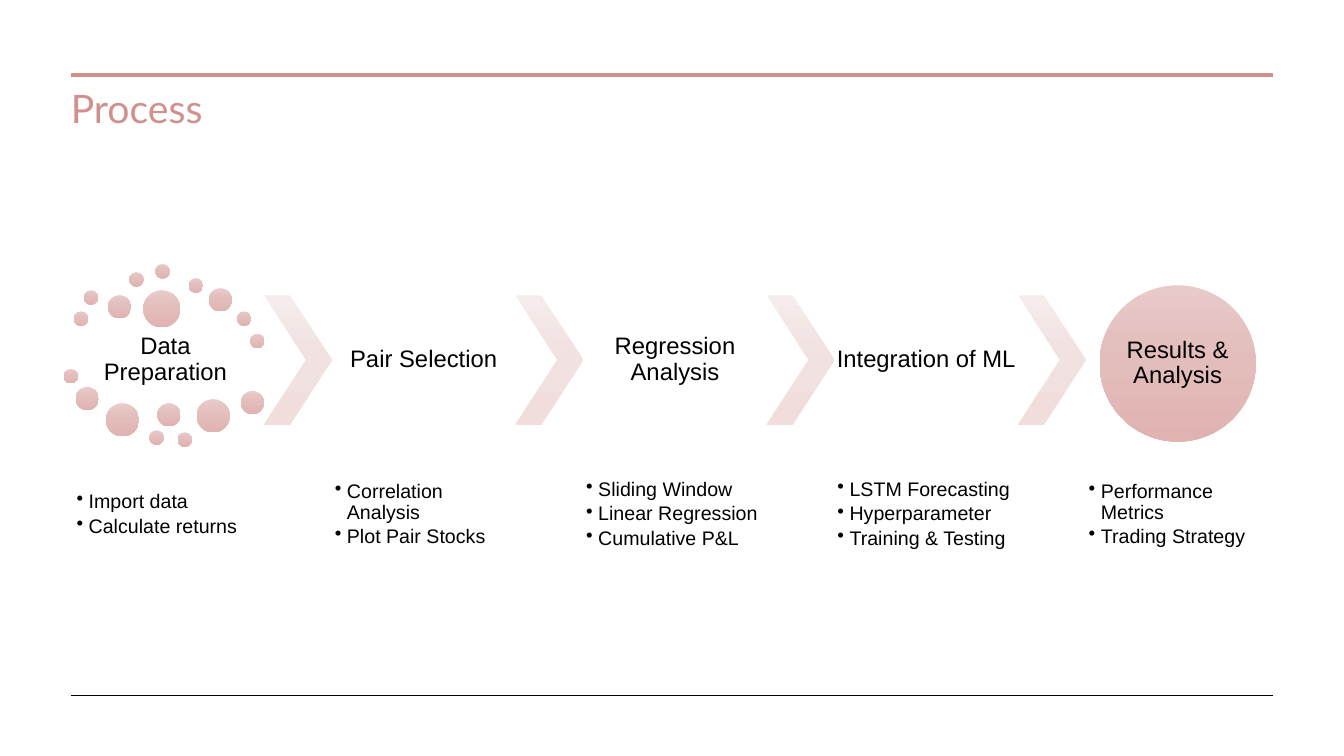
import copy
from dataclasses import dataclass

import pptx
import pptx.dml.color
import pptx.enum.shapes
import pptx.enum.text
import pptx.oxml.ns
import pptx.util
from lxml import etree

Pt = pptx.util.Pt
RGB = pptx.dml.color.RGBColor.from_string
SHAPE = pptx.enum.shapes.MSO_SHAPE
ALIGN = pptx.enum.text.PP_ALIGN
qn = pptx.oxml.ns.qn


@dataclass(frozen=True)
class Theme:
    """Colours, fonts and type sizes of the slide."""
    accent: str = "D0908C"
    ink: str = "000000"
    rose: tuple = ("E8CAC8", "E2BDBB", "E0B3B0")
    pale_rose: tuple = ("F6ECEC", "F1E1E0", "F0DDDC")
    title_font: str = "Lato"
    body_font: str = "Arial"
    title_size: float = 28
    heading_size: float = 17
    bullet_size: float = 14


THEME = Theme()
SMALL, MEDIUM, LARGE, HUGE = 10.4, 16.6, 23.8, 26.6
DOTS = [
    (7.2, 33.8, SMALL), (14.4, 18.7, SMALL), (31.7, 22.3, MEDIUM),
    (46.8, 5.8, SMALL), (65.5, 0, SMALL), (89.3, 10.1, SMALL),
    (103.7, 17.3, MEDIUM), (123.8, 33.8, SMALL), (133.2, 49.7, SMALL),
    (56.9, 18.7, HUGE), (0, 74.9, SMALL), (8.6, 87.8, MEDIUM),
    (30.2, 99.4, LARGE), (61.2, 118.8, SMALL), (67, 99.4, MEDIUM),
    (81.4, 120.2, SMALL), (95, 96.5, LARGE), (126.7, 90.7, MEDIUM),
]
STEPS = [
    ("Data Preparation", ["Import data", "Calculate returns"]),
    ("Pair Selection", ["Correlation Analysis", "Plot Pair Stocks"]),
    ("Regression Analysis",
     ["Sliding Window", "Linear Regression", "Cumulative P&L"]),
    ("Integration of ML",
     ["LSTM Forecasting", "Hyperparameter", "Training & Testing"]),
    ("Results & Analysis", ["Performance Metrics", "Trading Strategy"]),
]


def add_rule(slide, left, top, width, color, weight):
    """Draw a horizontal rule."""
    rule = slide.shapes.add_connector(
        pptx.enum.shapes.MSO_CONNECTOR.STRAIGHT,
        Pt(left), Pt(top), Pt(left + width), Pt(top))
    rule.line.color.rgb = RGB(color)
    rule.line.width = Pt(weight)
    etree.SubElement(rule._element.spPr, qn("a:effectLst"))


def add_gradient_shape(slide, kind, left, top, width, height, colors):
    """Add a borderless shape shaded from top to bottom."""
    shape = slide.shapes.add_shape(
        kind, Pt(left), Pt(top), Pt(width), Pt(height))
    shape.shadow.inherit = False
    shape.line.fill.background()
    shape.fill.gradient()
    shape.fill.gradient_angle = 270
    stop_list = shape._element.spPr.find(".//" + qn("a:gsLst"))
    stop_list.insert(1, copy.deepcopy(stop_list[0]))
    for index, (stop, color) in enumerate(
            zip(shape.fill.gradient_stops, colors)):
        stop.position = index / 2
        stop.color.rgb = RGB(color)
    return shape


def write(frame, lines, font, size, color, inset=0, align=ALIGN.LEFT,
          spacing=0.9, bulleted=False):
    """Fill a text frame with paragraphs of one style."""
    frame.word_wrap = True
    frame.vertical_anchor = pptx.enum.text.MSO_ANCHOR.MIDDLE
    frame.margin_left = frame.margin_right = Pt(inset)
    frame.margin_top = frame.margin_bottom = Pt(inset)
    for index, line in enumerate(lines):
        paragraph = frame.add_paragraph() if index else frame.paragraphs[0]
        paragraph.text = line
        paragraph.alignment = align
        paragraph.line_spacing = spacing
        if bulleted:
            paragraph.space_after = Pt(2.5)
            properties = paragraph._p.get_or_add_pPr()
            properties.set("marL", str(Pt(8.64)))
            properties.set("indent", str(Pt(-8.64)))
            etree.SubElement(properties, qn("a:buChar"), char="•")
        paragraph.font.name = font
        paragraph.font.size = Pt(size)
        paragraph.font.color.rgb = RGB(color)


def add_text(slide, left, top, width, height, lines, font, size, color,
             **style):
    """Add a text box in the given box."""
    box = slide.shapes.add_textbox(Pt(left), Pt(top), Pt(width), Pt(height))
    write(box.text_frame, lines, font, size, color, **style)


def add_frame(slide, left, top, width, height):
    """Draw the title between its upper and lower rules."""
    add_rule(slide, left, top, width, THEME.accent, 3)
    add_rule(slide, left, top + height, width, THEME.ink, 0.5)
    add_text(slide, left, top + 2.2, 127.4, 47.5, ["Process"],
             THEME.title_font, THEME.title_size, THEME.accent, spacing=0.85)


def add_dots(slide, left, top):
    """Scatter the dots around the first heading."""
    for x, y, size in DOTS:
        add_gradient_shape(slide, SHAPE.OVAL, left + x, top + y, size, size,
                           THEME.rose)


def add_result(slide, left, top, width, heading):
    """Draw the closing circle with its heading."""
    size = 111.6
    circle = add_gradient_shape(slide, SHAPE.OVAL, left + (width - size) / 2,
                                top - 7.2, size, size, THEME.rose)
    write(circle.text_frame, [heading], THEME.body_font, THEME.heading_size,
          THEME.ink, align=ALIGN.CENTER)


def add_process(slide, left, top):
    """Lay out the five steps with a chevron before each later one."""
    column, height, chevron_width = 131.2, 92.2, 48.3
    pitch = column + chevron_width
    first_chevron = left + 136.2
    add_dots(slide, left - 7.2, top - 22.4)
    for index, (heading, details) in enumerate(STEPS):
        step_left = left
        if index:
            chevron_left = first_chevron + (index - 1) * pitch
            step_left = chevron_left + chevron_width
            chevron = add_gradient_shape(
                slide, SHAPE.CHEVRON, chevron_left, top, chevron_width,
                height, THEME.pale_rose)
            chevron.adjustments[0] = 0.62
        if index == len(STEPS) - 1:
            add_result(slide, step_left, top, column, heading)
        else:
            add_text(slide, step_left, top, column, height, [heading],
                     THEME.body_font, THEME.heading_size, THEME.ink,
                     inset=1.4, align=ALIGN.CENTER)
        add_text(slide, step_left, top + 115.9, column, 81.4, details,
                 THEME.body_font, THEME.bullet_size, THEME.ink,
                 inset=2.1, bulleted=True)


def main():
    """Build and save the process slide."""
    deck = pptx.Presentation()
    deck.slide_width, deck.slide_height = Pt(960), Pt(540)
    slide = deck.slides.add_slide(deck.slide_layouts[6])
    add_frame(slide, 50.6, 53.4, 858.8, 443.4)
    add_process(slide, 52.6, 211)
    deck.save("out.pptx")


if __name__ == "__main__":
    main()
